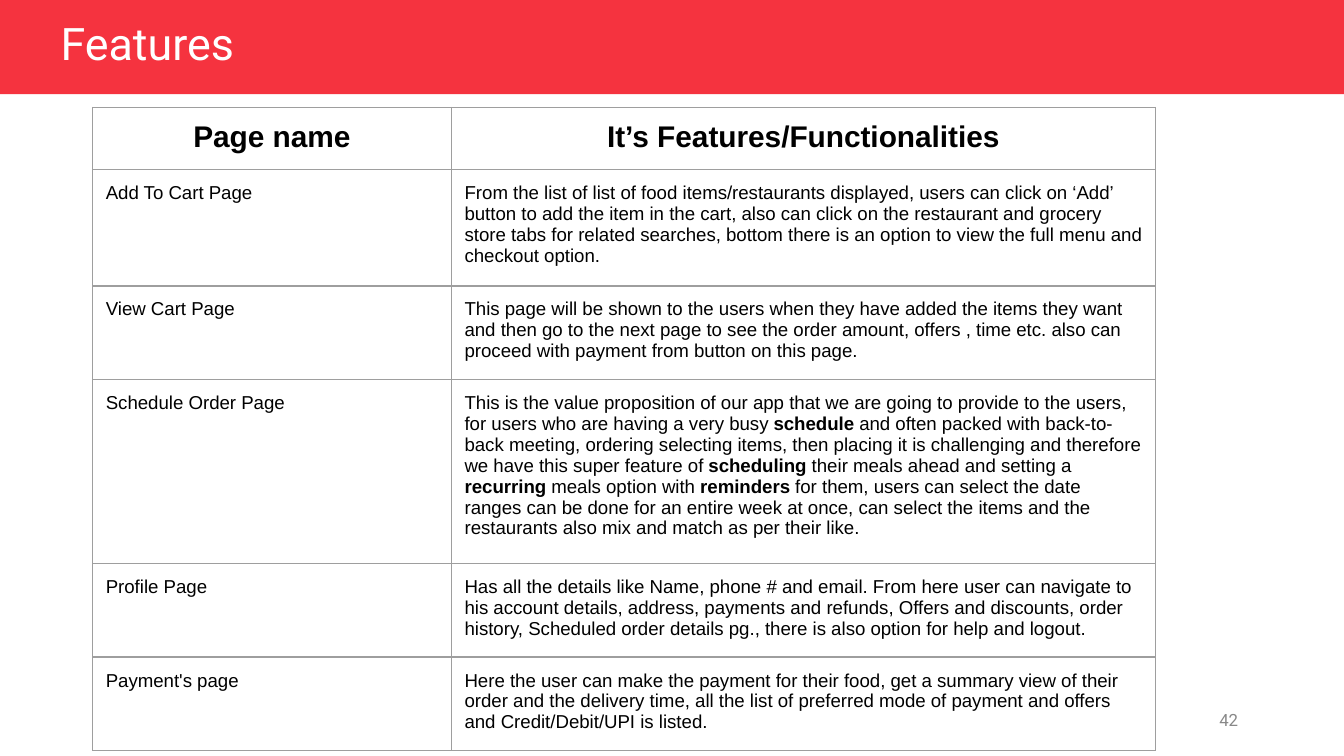
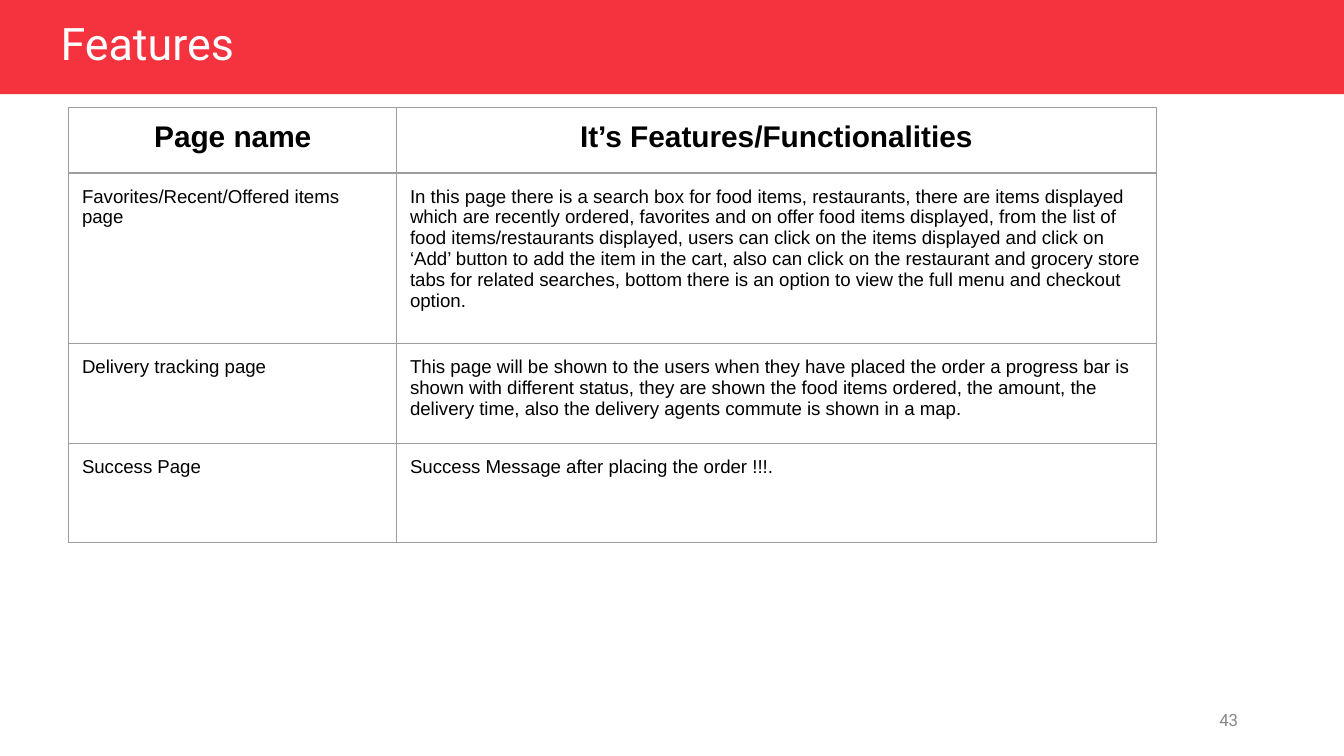
from lxml import etree
from pptx import Presentation
from pptx.dml.color import RGBColor
from pptx.enum.shapes import MSO_SHAPE as Shape
from pptx.enum.text import MSO_ANCHOR as Anchor, MSO_AUTO_SIZE as AutoSize, PP_ALIGN as Align
from pptx.oxml import parse_xml
from pptx.oxml.ns import nsdecls, qn
from pptx.util import Cm, Pt

COLORS = {
    "band": "F5333F",
    "title": "FFFFFF",
    "text": "000000",
    "number": "888888",
    "border": "9E9E9E",
}
HEADER = ("Page name", "It’s Features/Functionalities")
FIRST_NUMBER = 42
TABLE_TOP = 2.03
INSET = Cm(0.25)

pages = [
    {
        "left": 1.75,
        "columns": (6.78, 13.31),
        "heights": (0.69, 1.65, 1.65, 1.65, 1.65, 1.65),
        "features": [
            ("Add To Cart Page",
             "From the list of list of food items/restaurants displayed, users can click on ‘Add’ "
             "button to add the item in the cart, also can click on the restaurant and grocery "
             "store tabs for related searches, bottom there is an option to view the full menu "
             "and checkout option."),
            ("View Cart Page",
             "This page will be shown to the users when they have added the items they want and "
             "then go to the next page to see the order amount, offers , time etc. also can "
             "proceed with payment from button on this page."),
            ("Schedule Order Page",
             "This is the value proposition of our app that we are going to provide to the users, "
             "for users who are having a very busy **schedule** and often packed with "
             "back-to-back meeting, ordering selecting items, then placing it is challenging and "
             "therefore we have this super feature of **scheduling** their meals ahead and "
             "setting a **recurring** meals option with **reminders** for them, users can select "
             "the date ranges can be done for an entire week at once, can select the items and "
             "the restaurants also mix and match as per their like."),
            ("Profile Page",
             "Has all the details like Name, phone # and email. From here user can navigate to "
             "his account details, address, payments and refunds, Offers and discounts, order "
             "history, Scheduled order details pg., there is also option for help and logout."),
            ("Payment's page",
             "Here the user can make the payment for their food, get a summary view of their "
             "order and the delivery time, all the list of preferred mode of payment and offers "
             "and Credit/Debit/UPI is listed."),
        ],
    },
    {
        "left": 1.3,
        "columns": (6.2, 14.35),
        "heights": (1.24, 3.23, 1.88, 1.88),
        "features": [
            ("Favorites/Recent/Offered items page",
             "In this page there is a search box for food items, restaurants, there are items "
             "displayed which are recently ordered, favorites and on offer food items displayed, "
             "from the list of food items/restaurants displayed, users can click on the items "
             "displayed and click on ‘Add’ button to add the item in the cart, also can click on "
             "the restaurant and grocery store tabs for related searches, bottom there is an "
             "option to view the full menu and checkout option."),
            ("Delivery tracking page",
             "This page will be shown to the users when they have placed the order a progress bar "
             "is shown with different status, they are shown the food items ordered, the amount, "
             "the delivery time, also the delivery agents commute is shown in a map."),
            ("Success Page", "Success Message after placing the order !!!."),
        ],
    },
]


def style(font, name, size, color, bold=False):
    font.name = name
    font.size = Pt(size)
    font.bold = bold
    font.color.rgb = RGBColor.from_string(COLORS[color])


def fill_cell(cell, content, is_header):
    cell.margin_left = cell.margin_right = cell.margin_top = cell.margin_bottom = INSET
    cell.vertical_anchor = Anchor.TOP
    paragraph = cell.text_frame.paragraphs[0]
    paragraph.alignment = Align.CENTER if is_header else Align.LEFT
    for index, part in enumerate(content.split("**")):
        run = paragraph.add_run()
        run.text = part
        style(run.font, "Arial", 16 if is_header else 10, "text", is_header or index % 2 == 1)
    properties = cell._tc.get_or_add_tcPr()
    for side in ("lnL", "lnR", "lnT", "lnB"):
        border = etree.SubElement(properties, qn(f"a:{side}"), w=str(Pt(0.75)))
        border.append(parse_xml(
            f'<a:solidFill {nsdecls("a")}><a:srgbClr val="{COLORS["border"]}"/></a:solidFill>'))
    cell.fill.background()


prs = Presentation()
prs.slide_width = Cm(25.4)
prs.slide_height = Cm(14.29)
layout = prs.slide_layouts[5]
slides = [prs.slides.add_slide(layout) for page in pages]

band = slides[0].shapes.add_shape(Shape.RECTANGLE, 0, 0, prs.slide_width, Cm(1.78))
band.shadow.inherit = False
band.fill.solid()
band.fill.fore_color.rgb = RGBColor.from_string(COLORS["band"])
band.line.fill.background()
band.element.nvSpPr.cNvPr.set("id", "20")
layout.shapes.element.insert(2, band.element)

for number, (slide, page) in enumerate(zip(slides, pages), FIRST_NUMBER):
    title = slide.shapes.title
    title.left, title.top, title.width, title.height = Cm(0.89), Cm(0.33), Cm(10.39), Cm(1.07)
    title.text_frame.text = "Features"
    title.text_frame.auto_size = AutoSize.NONE
    title.text_frame.vertical_anchor = Anchor.MIDDLE
    heading = title.text_frame.paragraphs[0]
    heading.alignment = Align.LEFT
    heading.line_spacing = 0.9
    style(heading.runs[0].font, "Roboto", 24, "title")

    page_number = slide.shapes.add_textbox(Cm(17.93), Cm(13.23), Cm(5.72), Cm(0.76)).text_frame
    page_number.word_wrap = True
    page_number.vertical_anchor = Anchor.MIDDLE
    page_number.text = str(number)
    page_number.paragraphs[0].alignment = Align.RIGHT
    style(page_number.paragraphs[0].runs[0].font, "Roboto", 9, "number")

    rows = [HEADER, *page["features"]]
    features = slide.shapes.add_table(
        len(rows), len(HEADER), Cm(page["left"]), Cm(TABLE_TOP),
        Cm(sum(page["columns"])), Cm(sum(page["heights"]))).table
    features.first_row = features.horz_banding = False
    for column, width in zip(features.columns, page["columns"]):
        column.width = Cm(width)
    for index, (row, height, contents) in enumerate(zip(features.rows, page["heights"], rows)):
        row.height = Cm(height)
        for cell, content in zip(row.cells, contents):
            fill_cell(cell, content, index == 0)

prs.save("out.pptx")
